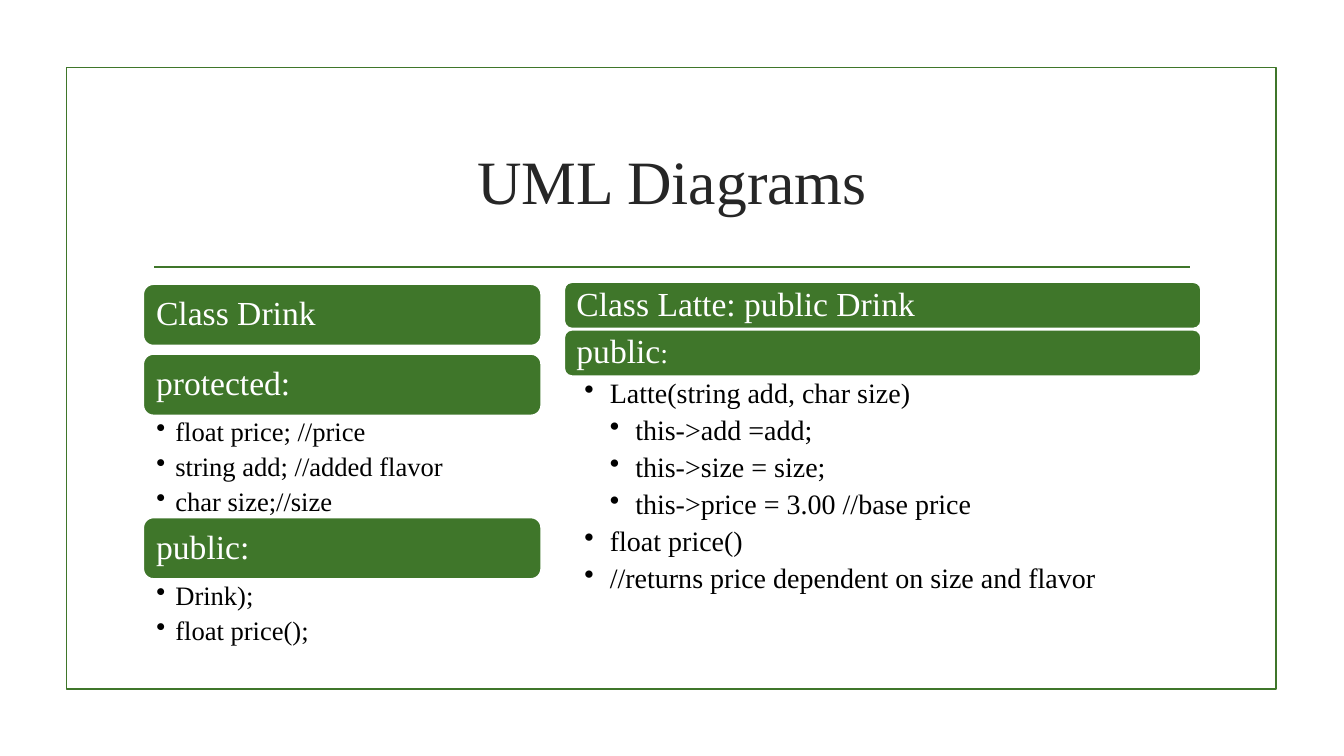
from dataclasses import dataclass

import pptx
import pptx.dml.color
import pptx.enum.shapes
import pptx.enum.text
import pptx.oxml
import pptx.oxml.ns
import pptx.util
from pptx.util import Cm, Pt

COLORS = {"green": "3F762A", "title": "262626", "white": "FFFFFF", "black": "000000"}
FONT = "Times New Roman"
SHAPES = pptx.enum.shapes.MSO_SHAPE
ANCHOR = pptx.enum.text.MSO_ANCHOR
ALIGN = pptx.enum.text.PP_ALIGN


@dataclass
class Item:
    text: str
    level: int = 1


@dataclass
class Section:
    header: str
    items: tuple[Item, ...] = ()
    list_height: float = 0
    small_tail: str = ""


@dataclass
class ClassColumn:
    """One class diagram; lengths are in centimetres, text sizes in points."""
    left: float
    top: float
    width: float
    header_height: float
    gap: float
    list_inset: float
    indent: float
    item_size: int
    sections: tuple[Section, ...]


COLUMNS = (
    ClassColumn(3.61, 7.16, 10.03, 1.55, 0.21, 0.33, 0.48, 19, (
        Section("Class Drink"),
        Section("protected:", (
            Item("float price; //price"),
            Item("string add; //added flavor"),
            Item("char size;//size"),
        ), 2.57),
        Section("public:", (Item("Drink);"), Item("float price();")), 1.7),
    )),
    ClassColumn(14.22, 7.11, 16.05, 1.17, 0.03, 0.51, 0.64, 20, (
        Section("Class Latte: public Drink"),
        Section("public", (
            Item("Latte(string add, char size)"),
            Item("this->add =add;", 2),
            Item("this->size = size;", 2),
            Item("this->price = 3.00 //base price", 2),
            Item("float price()"),
            Item("//returns price dependent on size and flavor"),
        ), 4.04, small_tail=":"),
    )),
)


def rgb(name: str) -> pptx.dml.color.RGBColor:
    return pptx.dml.color.RGBColor.from_string(COLORS[name])


def style_run(r, size: float, color: str) -> None:
    r.font.name = FONT
    r.font.size = Pt(size)
    r.font.color.rgb = rgb(color)


def set_insets(tf, side: float, vertical: float) -> None:
    tf.word_wrap = True
    tf.margin_left = tf.margin_right = Cm(side)
    tf.margin_top = tf.margin_bottom = Cm(vertical)


def add_frame(s) -> None:
    sp = s.shapes.add_shape(SHAPES.RECTANGLE, Cm(1.68), Cm(1.7), Cm(30.48), Cm(15.67))
    sp.shadow.inherit = False
    sp.fill.background()
    sp.line.color.rgb = rgb("green")
    sp.line.width = Pt(1.25)


def add_rule(s) -> None:
    rule = s.shapes.add_connector(
        pptx.enum.shapes.MSO_CONNECTOR.STRAIGHT, Cm(3.89), Cm(6.73), Cm(30), Cm(6.73))
    rule.line.color.rgb = rgb("green")
    rule.line.width = Pt(1.25)
    pptx.oxml.ns.qn("a:effectLst")
    rule._element.spPr.append(pptx.oxml.parse_xml(
        f"<a:effectLst {pptx.oxml.ns.nsdecls('a')}/>"))


def add_title(s, text: str) -> None:
    tf = s.shapes.add_textbox(Cm(3.61), Cm(2.72), Cm(26.67), Cm(3.63)).text_frame
    tf.word_wrap = True
    tf.vertical_anchor = ANCHOR.MIDDLE
    tf.text = text
    p = tf.paragraphs[0]
    p.alignment = ALIGN.CENTER
    style_run(p.runs[0], 44, "title")


def add_header(s, column: ClassColumn, section: Section, top: float) -> None:
    sp = s.shapes.add_shape(SHAPES.ROUNDED_RECTANGLE, Cm(column.left), Cm(top),
                            Cm(column.width), Cm(column.header_height))
    sp.shadow.inherit = False
    sp.fill.solid()
    sp.fill.fore_color.rgb = rgb("green")
    sp.line.color.rgb = rgb("white")
    sp.line.width = Pt(1.25)
    tf = sp.text_frame
    set_insets(tf, 0.25, 0)
    tf.vertical_anchor = ANCHOR.MIDDLE
    tf.text = section.header
    p = tf.paragraphs[0]
    p.alignment = ALIGN.LEFT
    p.line_spacing = 0.9
    style_run(p.runs[0], 24, "white")
    if section.small_tail:
        r = p.add_run()
        r.text = section.small_tail
        style_run(r, 20, "white")


def add_bullet(p, level: int, indent: float) -> None:
    pPr = p._p.get_or_add_pPr()
    pPr.set("marL", str(Cm(indent * level)))
    pPr.set("indent", str(-Cm(indent)))
    pPr.append(pptx.oxml.parse_xml(
        f'<a:buChar {pptx.oxml.ns.nsdecls("a")} char="•"/>'))


def add_members(s, column: ClassColumn, section: Section, top: float) -> None:
    tf = s.shapes.add_textbox(Cm(column.left), Cm(top), Cm(column.width),
                              Cm(section.list_height)).text_frame
    set_insets(tf, column.list_inset, 0.08)
    tf.text = "\n".join(item.text for item in section.items)
    for p, item in zip(tf.paragraphs, section.items):
        p.level = item.level
        p.line_spacing = 0.9
        p.space_before = Pt(0)
        p.space_after = Pt(0.24 * column.item_size)
        add_bullet(p, item.level, column.indent)
        style_run(p.runs[0], column.item_size, "black")


def add_column(s, column: ClassColumn) -> None:
    """Stack the sections; a gap follows only a header without members."""
    top = column.top
    for section in column.sections:
        add_header(s, column, section, top)
        top += column.header_height
        if section.items:
            add_members(s, column, section, top)
            top += section.list_height
        else:
            top += column.gap


def main() -> None:
    prs = pptx.Presentation()
    prs.slide_width, prs.slide_height = Cm(33.87), Cm(19.05)
    s = prs.slides.add_slide(prs.slide_layouts[6])
    add_frame(s)
    add_rule(s)
    add_title(s, "UML Diagrams")
    for column in COLUMNS:
        add_column(s, column)
    prs.save("out.pptx")


if __name__ == "__main__":
    main()
